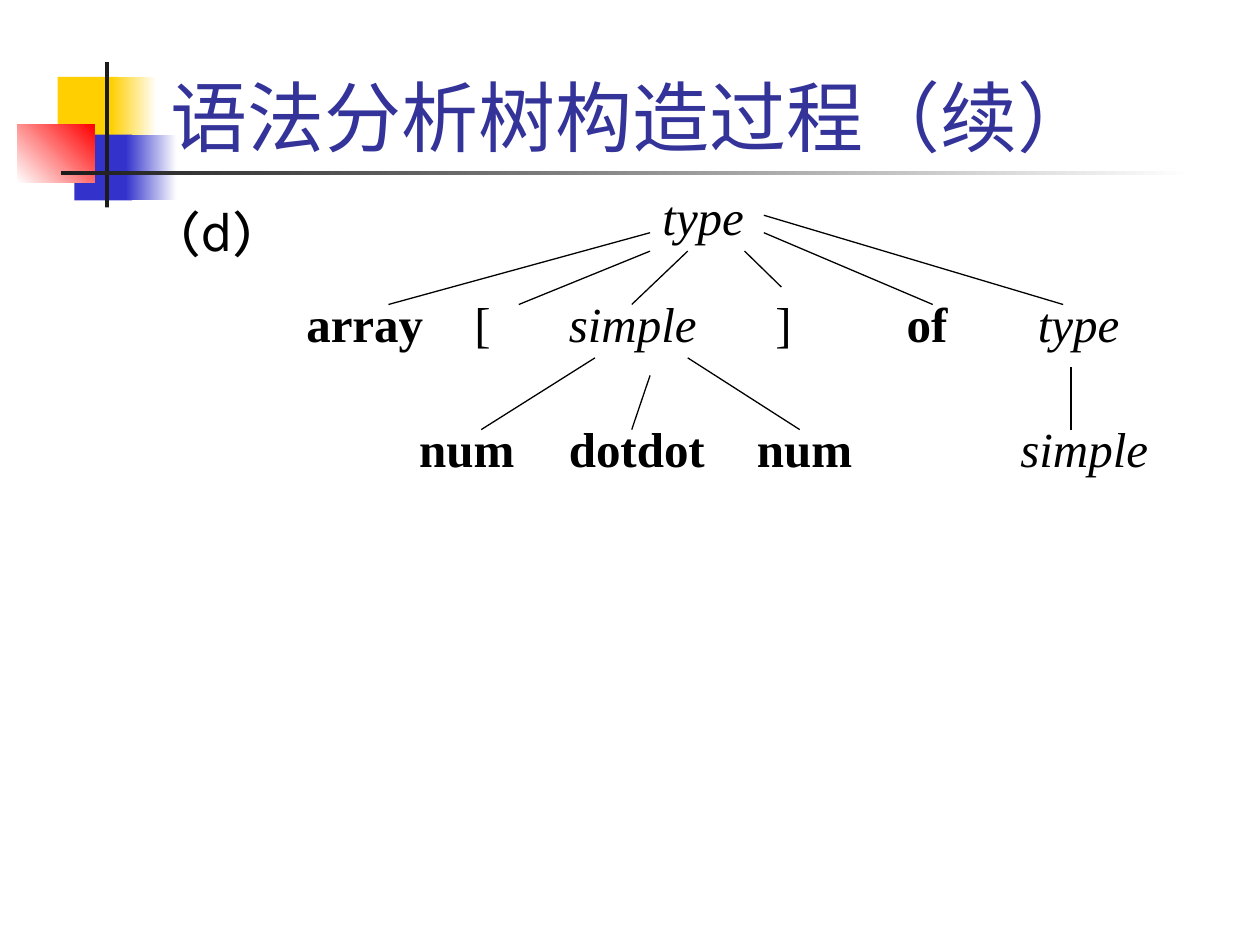
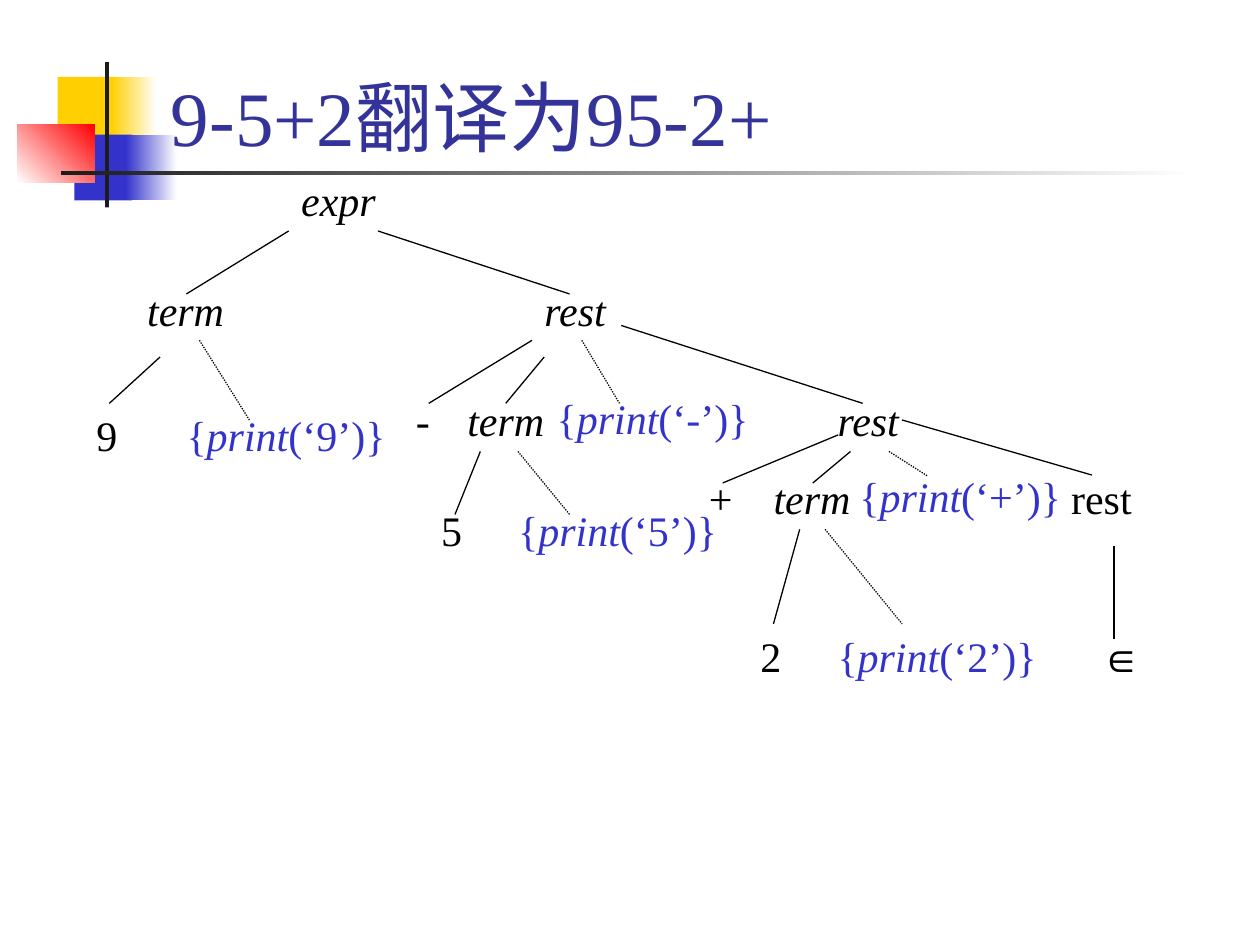
"""Build two slides of syntax trees."""
import dataclasses

import pptx
import pptx.dml.color
import pptx.enum.dml
import pptx.enum.shapes
import pptx.enum.text
import pptx.oxml
import pptx.util

Pt = pptx.util.Pt


def rgb(code):
    """Return a colour from its hex code."""
    return pptx.dml.color.RGBColor.from_string(code)


@dataclasses.dataclass(frozen=True)
class Theme:
    """Hold colours, fonts and type sizes."""
    gold: str = "FFCF01"
    blue: str = "3333CC"
    red: str = "FF0000"
    dark: str = "1C1C1C"
    white: str = "FFFFFF"
    black: str = "000000"
    navy: str = "333399"
    serif: str = "Times New Roman"
    sans: str = "Karla"
    head: int = 44
    mark: int = 32
    large: int = 28
    small: int = 24
    thin: float = 0.75


THEME = Theme()
PLAIN = {}
BOLD = {"bold": True}
SLANT = {"italic": True}

BANDS = [
    (33, 44, 34.5, 37.5, THEME.gold, None, 0),
    (63.5, 44, 26, 37.5, THEME.gold, THEME.white, 0),
    (42.5, 77, 33, 37.5, THEME.blue, None, 0),
    (72, 77, 29, 37.5, THEME.blue, THEME.white, 0),
    (10, 71, 44, 33.5, THEME.white, THEME.red, 45),
    (60, 35.5, 2.3, 83, THEME.dark, None, 0),
    (35, 98, 648, 2.3, THEME.dark, THEME.white, 0),
]

TYPE_ROWS = {
    103: [(371.5, 160, "type", SLANT)],
    164: [
        (168, 160, "array", BOLD),
        (264, 160, "[", PLAIN),
        (318, 160, "simple", SLANT),
        (436, 160, "]", PLAIN),
        (511, 160, "of", BOLD),
        (586, 75, "type", SLANT),
    ],
    235.5: [
        (232.5, 150, "num", BOLD),
        (318, 150, "dotdot", BOLD),
        (425.5, 150, "num", BOLD),
        (576, 96, "simple", SLANT),
    ],
}
TYPE_LINES = [
    (371.5, 133, 222, 174),
    (371.5, 143.5, 296.5, 174),
    (393, 143.5, 361, 174),
    (425.5, 143.5, 446.5, 164),
    (436.5, 133, 533, 174),
    (436.5, 123, 607.5, 174),
    (340, 204.5, 275, 245.5),
    (371.5, 214.5, 361, 245.5),
    (393, 204.5, 457, 245.5),
    (612, 210, 612, 246),
]

EXPR_ROWS = {
    96: [(165, 110, "expr", SLANT)],
    159: [(77, 110, "term", SLANT), (304, 110, "rest", SLANT)],
    222: [
        (230.5, 44, "-", PLAIN),
        (260, 80, "term", SLANT),
        (471.5, 110, "rest", SLANT),
    ],
    230.5: [(48, 44, "9", PLAIN)],
    266.5: [
        (398, 44, "+", PLAIN),
        (435, 80, "term", SLANT),
        (605, 80, "rest", PLAIN),
    ],
    284.5: [(245, 44, "5", PLAIN)],
    356.5: [(427.5, 44, "2", PLAIN), (622, 44, "∈", PLAIN)],
}
ACTIONS = [
    (99.5, 230.5, "9"),
    (311, 221, "-"),
    (289, 284.5, "5"),
    (484, 265.5, "+"),
    (471.5, 356.5, "2"),
]
EXPR_LINES = [
    (165, 132, 106.5, 168),
    (216, 132, 325.5, 168),
    (91.5, 204, 62.5, 230.5),
    (304, 194.5, 245, 230.5),
    (311, 204, 289, 230.5),
    (355, 186, 493, 230.5),
    (274.5, 258, 260, 294),
    (479, 248.5, 413, 276),
    (486, 258, 464.5, 276),
    (515.5, 240, 624, 271.5),
    (457, 302.5, 442, 356.5),
    (636.5, 312, 636.5, 365),
]
EXPR_DOTS = [
    (114, 194.5, 142.5, 240),
    (332.5, 194.5, 354, 230.5),
    (296, 258, 325.5, 294),
    (508, 258, 530, 272),
    (471.5, 302.5, 515.5, 356.5),
]


def apply(item, form):
    """Set each value of a format dict on an item."""
    for name, value in form.items():
        setattr(item, name, value)


def style(font, size, color, face=THEME.serif, form=PLAIN):
    """Format a font."""
    apply(font, {"size": Pt(size), "name": face, **form})
    font.color.rgb = rgb(color)


def band(slide, left, top, width, height, first, last, angle):
    """Draw a plain or graded rectangle."""
    kind = pptx.enum.shapes.MSO_SHAPE.RECTANGLE
    shape = slide.shapes.add_shape(kind, Pt(left), Pt(top), Pt(width), Pt(height))
    shape.shadow.inherit = False
    shape.line.fill.background()
    fill = shape.fill
    if last:
        fill.gradient()
        fill.gradient_angle = angle
        for stop, color in zip(fill.gradient_stops, (first, last)):
            stop.color.rgb = rgb(color)
    else:
        fill.solid()
        fill.fore_color.rgb = rgb(first)
    return shape


def adorn(layout, slide):
    """Place the shared bands on the layout."""
    for holder in list(layout.placeholders)[1:]:
        holder.element.getparent().remove(holder.element)
    for shape in [band(slide, *row) for row in BANDS]:
        layout.shapes.element.append(shape.element)


def title(slide, text):
    """Fill and place the title."""
    head = slide.shapes.title
    apply(head, {"left": Pt(90.5), "top": Pt(6), "width": Pt(613.5), "height": Pt(90)})
    apply(head.text_frame, {
        "text": text,
        "word_wrap": True,
        "auto_size": pptx.enum.text.MSO_AUTO_SIZE.NONE,
        "vertical_anchor": pptx.enum.text.MSO_ANCHOR.BOTTOM,
    })
    para = head.text_frame.paragraphs[0]
    para.alignment = pptx.enum.text.PP_ALIGN.LEFT
    style(para.runs[0].font, THEME.head, THEME.navy)


def label(slide, left, top, width, runs, size, color=THEME.black, face=THEME.serif):
    """Write a one-line text box from styled runs."""
    box = slide.shapes.add_textbox(Pt(left), Pt(top), Pt(width), Pt(size * 1.15 + 8))
    box.text_frame.word_wrap = True
    for text, form in runs:
        run = box.text_frame.paragraphs[0].add_run()
        run.text = text
        style(run.font, size, color, face, form)


def nodes(slide, rows, size):
    """Write the tree nodes row by row."""
    for top, cells in rows.items():
        for left, width, text, form in cells:
            label(slide, left, top, width, [(text, form)], size)


def action(slide, left, top, sign):
    """Write a print action."""
    runs = [("{", PLAIN), ("print", SLANT), (f"(‘{sign}’)}}", PLAIN)]
    label(slide, left, top, 132, runs, THEME.small, THEME.blue)


def edges(slide, rows, dash=None):
    """Draw the tree edges."""
    kind = pptx.enum.shapes.MSO_CONNECTOR.STRAIGHT
    for row in rows:
        edge = slide.shapes.add_connector(kind, *map(Pt, row))
        apply(edge.line, {"width": Pt(THEME.thin), "dash_style": dash})
        edge.line.color.rgb = rgb(THEME.black)
        props = edge.element.spPr
        props.append(pptx.oxml.xmlchemy.OxmlElement("a:effectLst"))


def main():
    """Build and save the deck."""
    deck = pptx.Presentation()
    apply(deck, {"slide_width": Pt(720), "slide_height": Pt(540)})
    layout = deck.slide_layouts[5]

    slide = deck.slides.add_slide(layout)
    adorn(layout, slide)
    title(slide, "语法分析树构造过程（续）")
    nodes(slide, TYPE_ROWS, THEME.large)
    edges(slide, TYPE_LINES)
    label(slide, 96, 108, 60, [("(d)", PLAIN)], THEME.mark, face=THEME.sans)

    slide = deck.slides.add_slide(layout)
    title(slide, "9-5+2翻译为95-2+")
    nodes(slide, EXPR_ROWS, THEME.small)
    for row in ACTIONS:
        action(slide, *row)
    edges(slide, EXPR_LINES)
    edges(slide, EXPR_DOTS, pptx.enum.dml.MSO_LINE.ROUND_DOT)

    deck.save("out.pptx")


if __name__ == "__main__":
    main()
